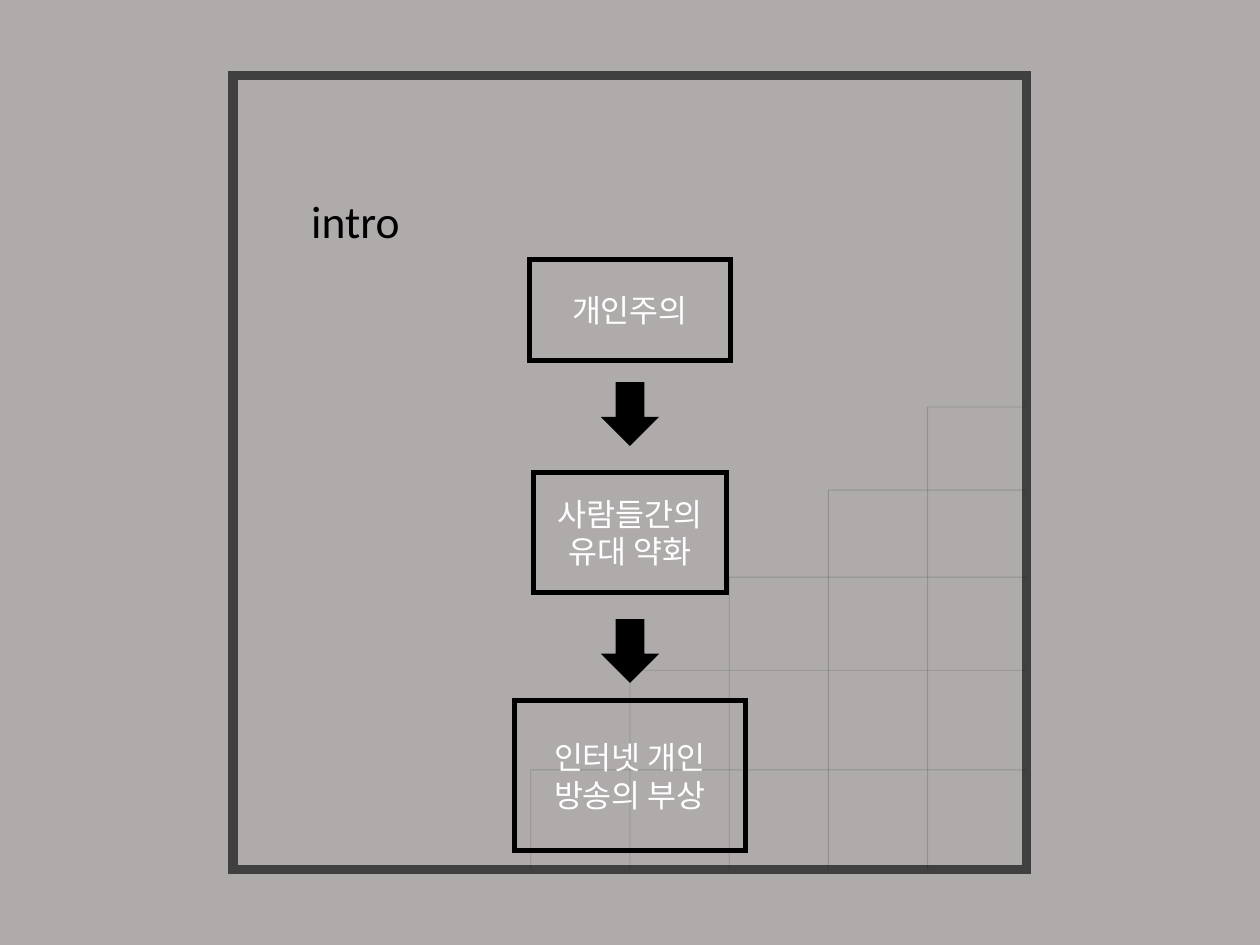
from lxml import etree
from pptx import Presentation
from pptx.dml.color import RGBColor
from pptx.enum import shapes, text
from pptx.oxml.ns import qn
from pptx.util import Inches, Pt

BACKGROUND = RGBColor(0xAF, 0xAB, 0xAB)
FRAME = RGBColor(0x40, 0x40, 0x40)
GRID = RGBColor(0x18, 0x17, 0x17)
BLACK = RGBColor(0, 0, 0)
WHITE = RGBColor(0xFF, 0xFF, 0xFF)
FONT = "Calibri"

# Content: label, top, width, height of each step
TITLE = "intro"
STEPS = [
    ("개인주의", 2.06, 1.6, 0.8),
    ("사람들간의 유대 약화", 3.75, 1.53, 0.95),
    ("인터넷 개인 방송의 부상", 5.56, 1.83, 1.19),
]
ARROW_TOPS = [3.04, 4.92]
ARROW_W, ARROW_H = 0.43, 0.49
CENTER = 5
FRAME_X, FRAME_Y, FRAME_SIZE = 1.85, 0.6, 6.3
GRID_TOPS = [6.11, 5.32, 4.58, 3.89, 3.23]
GRID_STEP = FRAME_SIZE / 8


def add_shape(s, kind, x, y, w, h, line, width, fill=None):
    sp = s.shapes.add_shape(kind, *map(Inches, (x, y, w, h)))
    sp.shadow.inherit = False
    if fill is None:
        sp.fill.background()
    else:
        sp.fill.solid()
        sp.fill.fore_color.rgb = fill
    sp.line.color.rgb = line
    sp.line.width = Pt(width)
    # Sharp corners
    etree.SubElement(sp.line._ln, qn("a:miter"), lim="800000")
    return sp


def add_grid_line(s, x1, y1, x2, y2):
    line = s.shapes.add_connector(shapes.MSO_CONNECTOR.STRAIGHT,
                                  *map(Inches, (x1, y1, x2, y2)))
    line.line.color.rgb = GRID
    line.line.width = Pt(0.5)
    color = line.line._ln.find(".//" + qn("a:srgbClr"))
    etree.SubElement(color, qn("a:alpha"), val="18000")
    etree.SubElement(line._element.spPr, qn("a:effectLst"))


def set_text(tf, words, size, color, alignment):
    tf.text = words
    tf.word_wrap = True
    tf.vertical_anchor = text.MSO_ANCHOR.MIDDLE
    p = tf.paragraphs[0]
    p.alignment = alignment
    p.font.name = FONT
    p.font.size = Pt(size)
    p.font.color.rgb = color


prs = Presentation()
prs.slide_width, prs.slide_height = Inches(10), Inches(7.5)
s = prs.slides.add_slide(prs.slide_layouts[5])
s.background.fill.solid()
s.background.fill.fore_color.rgb = BACKGROUND

# Frame
RECT = shapes.MSO_SHAPE.RECTANGLE
add_shape(s, RECT, FRAME_X, FRAME_Y, FRAME_SIZE, FRAME_SIZE, FRAME, 5.25)

# Staircase grid, running to the right and bottom edges of the frame
right, bottom = FRAME_X + FRAME_SIZE, FRAME_Y + FRAME_SIZE
for i, y in enumerate(GRID_TOPS):
    x = FRAME_X + (3 + i) * GRID_STEP
    add_grid_line(s, x, y, right, y)
    add_grid_line(s, x, y, x, bottom)

# Title
title = s.shapes.title
title.left, title.top, title.width, title.height = map(
    Inches, (2.37, 1.48, 1.05, 0.54))
set_text(title.text_frame, TITLE, 26, BLACK, text.PP_ALIGN.LEFT)
title.text_frame.auto_size = text.MSO_AUTO_SIZE.NONE

# Steps
for label, y, w, h in STEPS:
    sp = add_shape(s, RECT, CENTER - w / 2, y, w, h, BLACK, 3)
    set_text(sp.text_frame, label, 18, WHITE, text.PP_ALIGN.CENTER)

# Arrows between the steps
for y in ARROW_TOPS:
    add_shape(s, shapes.MSO_SHAPE.DOWN_ARROW, CENTER - ARROW_W / 2, y,
              ARROW_W, ARROW_H, BLACK, 1, BLACK)

prs.save("out.pptx")
